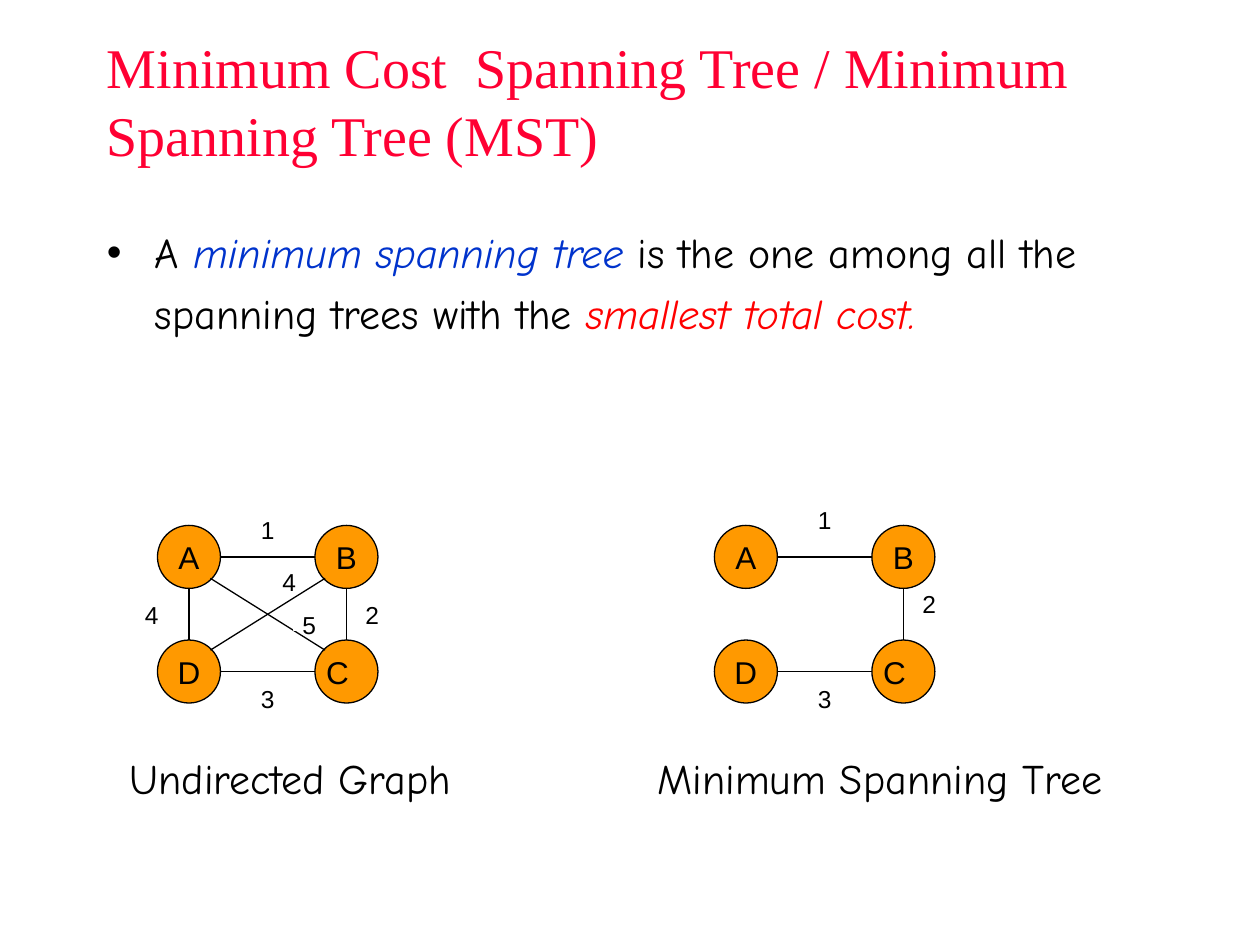
"""Build the slide that sets a graph beside its minimum spanning tree."""
import dataclasses

import lxml.etree
import pptx
import pptx.dml.color
import pptx.enum.shapes
import pptx.enum.text
import pptx.oxml.ns
import pptx.shapes.autoshape
import pptx.shapes.shapetree
import pptx.text.text
import pptx.util

Inches = pptx.util.Inches
Shapes = pptx.shapes.shapetree.SlideShapes
Shape = pptx.shapes.autoshape.Shape
Para = pptx.text.text._Paragraph
Kind = pptx.enum.shapes.MSO_SHAPE
Align = pptx.enum.text.PP_ALIGN
Anchor = pptx.enum.text.MSO_ANCHOR


@dataclasses.dataclass(frozen=True)
class Theme:
    black: str = "000000"
    white: str = "FFFFFF"
    gold: str = "FF9900"
    blue: str = "0033CC"
    red: str = "FF0000"
    rose: str = "FF0033"
    head: str = "Times New Roman"
    hand: str = "Comic Neue"
    plain: str = "Arial"
    big: float = 32
    body: float = 24
    node: float = 18
    cost: float = 14
    line: float = 0.75


@dataclasses.dataclass(frozen=True)
class Run:
    text: str
    color: str
    slant: bool = False


@dataclasses.dataclass(frozen=True)
class Cost:
    text: str
    left: float
    top: float
    high: float = 0.25


@dataclasses.dataclass(frozen=True)
class Graph:
    left: float
    edges: tuple[str, ...]
    costs: tuple[Cost, ...]
    title: Run
    start: float
    width: float


THEME = Theme()
SIZE = 0.5
REACH = SIZE / 2
SLANT = 0.17
NODES = {"A": (0, 4.17), "D": (0, 5.08), "C": (1.25, 5.08), "B": (1.25, 4.17)}
GRAPHS = (
    Graph(1.25, ("AD", "AB", "DC", "BC", "DB", "AC"),
          (Cost("1", 0.75, 4.08), Cost("2", 1.58, 4.75), Cost("3", 0.75, 5.42),
           Cost("4", -0.17, 4.75), Cost("4", 0.92, 4.58, 0.08),
           Cost("5", 1.08, 4.92, 0.08)),
          Run("Undirected Graph", THEME.black), 0.93, 3.15),
    Graph(5.67, ("AB", "DC", "BC"),
          (Cost("1", 0.75, 4), Cost("2", 1.58, 4.67), Cost("3", 0.75, 5.42)),
          Run("Minimum Spanning Tree", THEME.black), 5.12, 3.88),
)


def tint(code: str) -> pptx.dml.color.RGBColor:
    return pptx.dml.color.RGBColor.from_string(code)


def apply(target: object, form: dict[str, object]) -> None:
    for name, value in form.items():
        setattr(target, name, value)


def write(para: Para, runs: tuple[Run, ...], font: str, size: float) -> None:
    for part in runs:
        run = para.add_run()
        run.text = part.text
        apply(run.font, {"name": font, "size": pptx.util.Pt(size), "italic": part.slant})
        run.font.color.rgb = tint(part.color)


def add_text(shapes: Shapes, box: tuple[float, ...], runs: tuple[Run, ...],
             font: str, size: float, anchor: Anchor = Anchor.TOP) -> Para:
    frame = shapes.add_textbox(*map(Inches, box)).text_frame
    apply(frame, {"word_wrap": True, "vertical_anchor": anchor})
    para = frame.paragraphs[0]
    write(para, runs, font, size)
    return para


def add_dot(para: Para) -> None:
    props = para._p.get_or_add_pPr()
    apply(para, {"line_spacing": 1.2, "space_before": pptx.util.Pt(6)})
    props.set("marL", str(Inches(0.38)))
    props.set("indent", str(-Inches(0.38)))
    name = pptx.oxml.ns.qn
    lxml.etree.SubElement(props, name("a:buFont"), typeface=THEME.plain)
    lxml.etree.SubElement(props, name("a:buChar"), char="•")


def add_mark(shapes: Shapes, kind: Kind, box: tuple[float, ...], text: str,
             size: float, fill: str, edge: str) -> Shape:
    mark = shapes.add_shape(kind, *map(Inches, box))
    mark.shadow.inherit = False
    mark.fill.solid()
    mark.fill.fore_color.rgb = tint(fill)
    mark.line.color.rgb = tint(edge)
    mark.line.width = pptx.util.Pt(THEME.line)
    apply(mark.text_frame, {
        "word_wrap": False, "vertical_anchor": Anchor.MIDDLE,
        "margin_left": 0, "margin_right": 0, "margin_top": 0, "margin_bottom": 0})
    para = mark.text_frame.paragraphs[0]
    para.alignment = Align.CENTER
    write(para, (Run(text, THEME.black),), THEME.plain, size)
    return mark


def add_edge(shapes: Shapes, left: float, pair: str) -> None:
    (ax, ay), (bx, by) = (NODES[name] for name in pair)
    across, down = (bx > ax) - (bx < ax), (by > ay) - (by < ay)
    gap = SLANT if across and down else REACH
    ends = (left + ax + REACH + gap * across, ay + REACH + gap * down,
            left + bx + REACH - gap * across, by + REACH - gap * down)
    edge = shapes.add_connector(pptx.enum.shapes.MSO_CONNECTOR.STRAIGHT, *map(Inches, ends))
    edge.line.color.rgb = tint(THEME.black)
    edge.line.width = pptx.util.Pt(THEME.line)
    lxml.etree.SubElement(edge._element.spPr, pptx.oxml.ns.qn("a:effectLst"))


def add_graph(shapes: Shapes, graph: Graph) -> None:
    for name, (across, top) in NODES.items():
        node = add_mark(shapes, Kind.OVAL, (graph.left + across, top, SIZE, SIZE),
                        name, THEME.node, THEME.gold, THEME.black)
        if name == "C":
            node.text_frame.margin_right = Inches(0.14)
    for pair in graph.edges:
        add_edge(shapes, graph.left, pair)
    for cost in graph.costs:
        add_mark(shapes, Kind.RECTANGLE, (graph.left + cost.left, cost.top, 0.25, cost.high),
                 cost.text, THEME.cost, THEME.white, THEME.white)
    para = add_text(shapes, (graph.start, 5.92, graph.width, 0.5), (graph.title,),
                    THEME.hand, THEME.body)
    para.space_before = pptx.util.Pt(15)


def main() -> None:
    deck = pptx.Presentation()
    apply(deck, {"slide_width": Inches(10), "slide_height": Inches(7.5)})
    shapes = deck.slides.add_slide(deck.slide_layouts[6]).shapes
    title = Run("Minimum Cost  Spanning Tree / Minimum Spanning Tree (MST)", THEME.rose)
    add_text(shapes, (0.75, 0.17, 8.5, 1.25), (title,), THEME.head, THEME.big, Anchor.MIDDLE)
    body = (Run("A ", THEME.black), Run("minimum spanning tree", THEME.blue, True),
            Run(" is the one among all the spanning trees with the ", THEME.black),
            Run("smallest total cost.", THEME.red, True))
    add_dot(add_text(shapes, (0.75, 1.67, 8.5, 1.33), body, THEME.hand, THEME.body))
    for graph in GRAPHS:
        add_graph(shapes, graph)
    deck.save("out.pptx")


if __name__ == "__main__":
    main()
